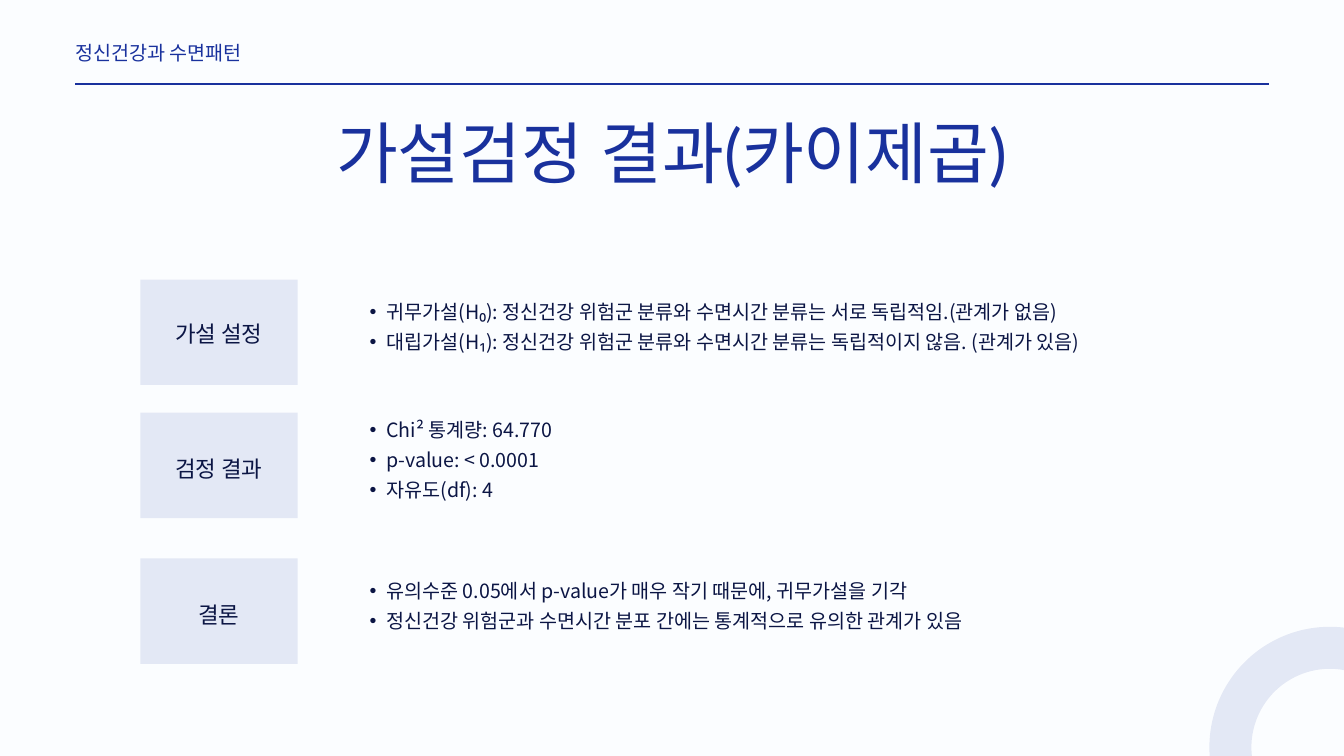
from dataclasses import dataclass

from lxml import etree
from pptx import Presentation
from pptx.dml.color import RGBColor
from pptx.enum.shapes import MSO_CONNECTOR, MSO_SHAPE
from pptx.enum.text import MSO_ANCHOR, MSO_AUTO_SIZE, PP_ALIGN
from pptx.oxml.ns import qn
from pptx.util import Inches, Pt

LEFT, CENTER, JUSTIFY = PP_ALIGN.LEFT, PP_ALIGN.CENTER, PP_ALIGN.JUSTIFY
TOP = MSO_ANCHOR.TOP
NO_FIT = MSO_AUTO_SIZE.NONE
RECT, OVAL = MSO_SHAPE.RECTANGLE, MSO_SHAPE.OVAL
STRAIGHT = MSO_CONNECTOR.STRAIGHT
COMPARISON = 4  # template layout with a title and four body placeholders


@dataclass(frozen=True)
class Theme:
    paper: str = "FBFDFF"
    blue: str = "19319D"
    ink: str = "0B1544"
    tint: int = 10  # percent opacity
    title_font: str = "Lato"
    text_font: str = "Noto Sans CJK KR"
    title: float = 72
    label: float = 24
    body: float = 21
    title_line: float = 70.5
    label_line: float = 36.7
    body_line: float = 32.1


THEME = Theme()
WIDTH, HEIGHT = 20, 11.25
MARGIN = 1.12

# Columns of the content grid
CARD_X, CARD_W, CARD_H = 2.09, 2.34, 1.57
LABEL_X, LABEL_W = 1.42, 3.67
LIST_X, LIST_W = 5.26, 13.74

# Rows: label, card top, label top, list top, list items
ROWS = [
    ("가설 설정", 4.16, 4.66, 4.37, [
        "귀무가설(H₀): 정신건강 위험군 분류와 수면시간 분류는 서로 독립적임.(관계가 없음)",
        "대립가설(H₁): 정신건강 위험군 분류와 수면시간 분류는 독립적이지 않음. (관계가 있음)",
    ]),
    ("검정 결과", 6.14, 6.66, 6.13, [
        "Chi² 통계량: 64.770",
        "p-value: < 0.0001",
        "자유도(df): 4",
    ]),
    ("결론", 8.31, 8.83, 8.52, [
        "유의수준 0.05에서 p-value가 매우 작기 때문에, 귀무가설을 기각",
        "정신건강 위험군과 수면시간 분포 간에는 통계적으로 유의한 관계가 있음",
    ]),
]


def rgb(value):
    return RGBColor.from_string(value)


def place(sp, x, y, w, h):
    sp.left, sp.top, sp.width, sp.height = map(Inches, (x, y, w, h))


def set_bullet(p, left=0.49, hanging=0.25):
    pPr = p._p.get_or_add_pPr()
    pPr.set("marL", str(Inches(left)))
    pPr.set("indent", str(-Inches(hanging)))
    etree.SubElement(pPr, qn("a:buFont")).set("typeface", "Arial")
    etree.SubElement(pPr, qn("a:buChar")).set("char", "•")


def set_plain(p):
    pPr = p._p.get_or_add_pPr()
    pPr.set("marL", "0")
    pPr.set("indent", "0")
    etree.SubElement(pPr, qn("a:buNone"))


def write(sp, lines, *, size, line, color=THEME.ink, font=THEME.text_font,
          align=LEFT, bullets=False):
    """Fill a text box or placeholder with one paragraph per line."""
    tf = sp.text_frame
    tf.word_wrap = True
    tf.auto_size = NO_FIT
    tf.vertical_anchor = TOP
    tf.margin_left = tf.margin_right = tf.margin_top = tf.margin_bottom = 0
    for i, text in enumerate(lines):
        p = tf.add_paragraph() if i else tf.paragraphs[0]
        if bullets:
            set_bullet(p)
        else:
            set_plain(p)
        p.alignment = align
        p.line_spacing = Pt(line)
        p.space_before = p.space_after = Pt(0)
        r = p.add_run()
        r.text = text
        r.font.size = Pt(size)
        r.font.bold = False
        r.font.color.rgb = rgb(color)
        r.font.name = font
        etree.SubElement(r._r.get_or_add_rPr(), qn("a:ea")).set("typeface", font)


def tint(fill):
    """Make a solid fill the translucent theme blue."""
    fill.solid()
    fill.fore_color.rgb = rgb(THEME.blue)
    color = fill._xPr.find(".//" + qn("a:srgbClr"))
    etree.SubElement(color, qn("a:alpha")).set("val", str(THEME.tint * 1000))


def add_ring(s, x, y, size, weight):
    ring = s.shapes.add_shape(OVAL, *map(Inches, (x, y, size, size)))
    ring.shadow.inherit = False
    ring.fill.background()
    ring.line.width = Pt(weight)
    tint(ring.line.fill)


def add_rule(s, y):
    rule = s.shapes.add_connector(
        STRAIGHT, *map(Inches, (MARGIN, y, WIDTH - MARGIN, y)))
    rule.line.color.rgb = rgb(THEME.blue)
    rule.line.width = Pt(2.25)
    etree.SubElement(rule._element.spPr, qn("a:effectLst"))


def add_card(s, label, y, label_y):
    card = s.shapes.add_shape(RECT, *map(Inches, (CARD_X, y, CARD_W, CARD_H)))
    card.shadow.inherit = False
    card.line.fill.background()
    tint(card.fill)
    box = s.shapes.add_textbox(*map(Inches, (LABEL_X, label_y, LABEL_W, 0.48)))
    write(box, [label], size=THEME.label, line=THEME.label_line, align=CENTER)


def fill_list(sp, items, y):
    place(sp, LIST_X, y, LIST_W, 0.43 * len(items))
    write(sp, items, size=THEME.body, line=THEME.body_line, align=JUSTIFY,
          bullets=True)


def main():
    prs = Presentation()
    prs.slide_width, prs.slide_height = Inches(WIDTH), Inches(HEIGHT)
    s = prs.slides.add_slide(prs.slide_layouts[COMPARISON])
    s.background.fill.solid()
    s.background.fill.fore_color.rgb = rgb(THEME.paper)
    title, header, *lists = s.placeholders

    # Corner ring and header
    add_ring(s, 18.31, 9.64, 2.96, 45)
    place(header, MARGIN, 0.52, 4.87, 0.42)
    write(header, ["정신건강과 수면패턴"], size=THEME.body,
          line=THEME.body_line, color=THEME.blue)
    add_rule(s, 1.25)

    # Title
    place(title, 3.73, 1.87, 12.53, 1.22)
    write(title, ["가설검정 결과(카이제곱)"], size=THEME.title,
          line=THEME.title_line, color=THEME.blue, font=THEME.title_font,
          align=CENTER)

    # Labelled rows
    for sp, (label, card_y, label_y, list_y, items) in zip(lists, ROWS):
        add_card(s, label, card_y, label_y)
        fill_list(sp, items, list_y)

    prs.save("out.pptx")


if __name__ == "__main__":
    main()
